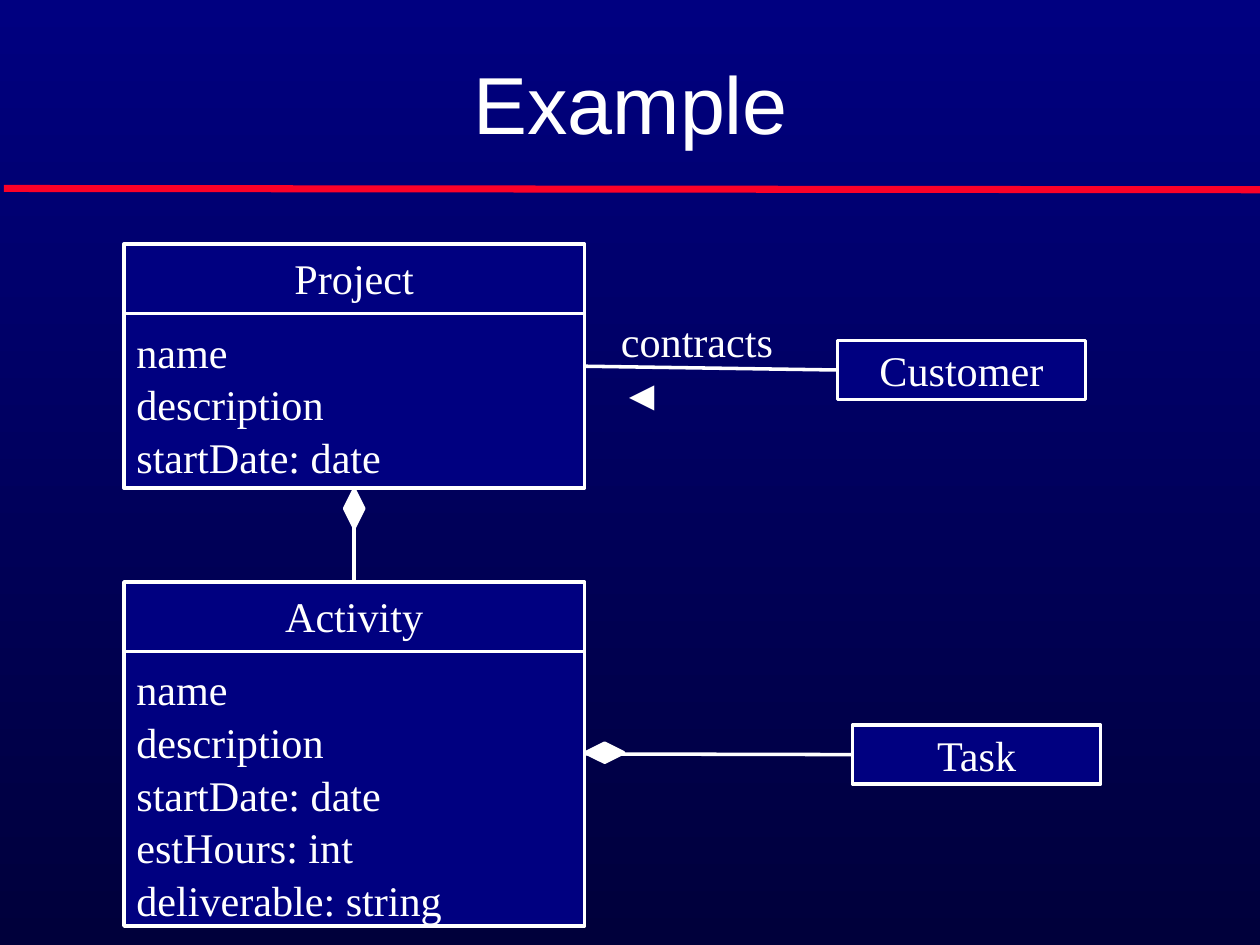
import pptx
import pptx.util
import pptx.dml.color
import pptx.enum.shapes
import pptx.enum.text
import pptx.oxml
from pptx.util import Inches, Pt

COLORS = {"navy": "000080", "night": "00003B", "white": "FFFFFF", "red": "FC0128"}
TITLE = "Example"
TITLE_FONT, BODY_FONT = "Arial", "Times New Roman"
BODY_SIZE = 24

# name: (left, top, width, height, attributes)
CLASSES = {
    "Project": (0.98, 1.93, 3.64, 1.93, ["name", "description", "startDate: date"]),
    "Activity": (0.98, 4.6, 3.64, 2.72, ["name", "description", "startDate: date",
                                         "estHours: int", "deliverable: string"]),
    "Customer": (6.62, 2.69, 1.96, 0.47, []),
    "Task": (6.74, 5.73, 1.96, 0.47, []),
}
HEADER_HEIGHT = 0.55

# Connection sites of a rectangle
TOP, LEFT, BOTTOM, RIGHT = range(4)
ASSOCIATIONS = [
    ("Project", RIGHT, "Customer", LEFT),
    ("Project", BOTTOM, "Activity", TOP),
    ("Activity", RIGHT, "Task", LEFT),
]
# centre x, centre y, rotation
AGGREGATIONS = [(2.8, 4.02, 0), (4.78, 5.95, 270)]
DIAMOND_WIDTH, DIAMOND_HEIGHT = 0.15, 0.3
ROLE = ("contracts ◄", 4.81, 2.43, 1.5, 0.9)

ALIGN = pptx.enum.text.PP_ALIGN
ANCHOR = pptx.enum.text.MSO_ANCHOR
SHAPE = pptx.enum.shapes.MSO_SHAPE


def rgb(name):
    return pptx.dml.color.RGBColor.from_string(COLORS[name])


def write(paragraph, lines, align, font=BODY_FONT, size=BODY_SIZE):
    """Add the lines to one paragraph, parted by line breaks."""
    paragraph.alignment = align
    for index, line in enumerate(lines):
        if index:
            paragraph.add_line_break()
        run = paragraph.add_run()
        run.text = line
        run.font.name = font
        run.font.size = Pt(size)
        run.font.color.rgb = rgb("white")


def add_line(shapes, start, end, color="white", width=2):
    line = shapes.add_connector(pptx.enum.shapes.MSO_CONNECTOR.STRAIGHT,
                                *map(Inches, start + end))
    line.line.color.rgb = rgb(color)
    line.line.width = Pt(width)
    effects = pptx.oxml.parse_xml(
        '<a:effectLst xmlns:a="http://schemas.openxmlformats.org/drawingml/2006/main"/>')
    line._element.spPr.append(effects)
    return line


def add_outlined(shapes, preset, box, fill):
    shape = shapes.add_shape(preset, *map(Inches, box))
    shape.shadow.inherit = False
    shape.fill.solid()
    shape.fill.fore_color.rgb = rgb(fill)
    shape.line.color.rgb = rgb("white")
    shape.line.width = Pt(2)
    return shape


def add_class(shapes, name, left, top, width, height, attributes):
    """Draw a class box, with a ruled attribute compartment if it has attributes."""
    if attributes:
        shapes = shapes.add_group_shape().shapes
    box = add_outlined(shapes, SHAPE.RECTANGLE, (left, top, width, height), "navy")
    frame = box.text_frame
    frame.word_wrap = bool(attributes)
    frame.vertical_anchor = ANCHOR.TOP if attributes else ANCHOR.MIDDLE
    heading = frame.paragraphs[0]
    write(heading, [name], ALIGN.CENTER)
    if attributes:
        details = frame.add_paragraph()
        details.space_before = Pt(BODY_SIZE / 2)
        write(details, attributes, ALIGN.LEFT)
        heading.line_spacing = details.line_spacing = 1.04
        divider = top + HEADER_HEIGHT
        add_line(shapes, (left, divider), (left + width, divider))
    return box


def main():
    deck = pptx.Presentation()
    deck.slide_width, deck.slide_height = Inches(9.96), Inches(7.47)
    slide = deck.slides.add_slide(deck.slide_layouts[5])
    shapes = slide.shapes

    backdrop = slide.background.fill
    backdrop.gradient()
    backdrop.gradient_angle = 270
    for stop, color in zip(backdrop.gradient_stops, ("navy", "night")):
        stop.color.rgb = rgb(color)

    title = shapes.title
    title.left, title.top, title.width, title.height = map(Inches, (0.75, 0, 8.47, 1.24))
    title.text_frame.vertical_anchor = ANCHOR.BOTTOM
    write(title.text_frame.paragraphs[0], [TITLE], ALIGN.CENTER, TITLE_FONT, 46)
    add_line(shapes, (0.03, 1.49), (9.96, 1.5), "red", 4)

    boxes = {name: add_class(shapes, name, *details) for name, details in CLASSES.items()}
    for source, source_site, target, target_site in ASSOCIATIONS:
        association = add_line(shapes, (0, 0), (1, 1))
        association.begin_connect(boxes[source], source_site)
        association.end_connect(boxes[target], target_site)

    for x, y, rotation in AGGREGATIONS:
        corner = (x - DIAMOND_WIDTH / 2, y - DIAMOND_HEIGHT / 2)
        diamond = add_outlined(shapes, SHAPE.DIAMOND,
                               corner + (DIAMOND_WIDTH, DIAMOND_HEIGHT), "white")
        diamond.rotation = rotation

    wording, *place = ROLE
    role = shapes.add_textbox(*map(Inches, place)).text_frame
    role.word_wrap = True
    role.paragraphs[0].line_spacing = 1.04
    write(role.paragraphs[0], [wording], ALIGN.LEFT)

    deck.save("out.pptx")


if __name__ == "__main__":
    main()
